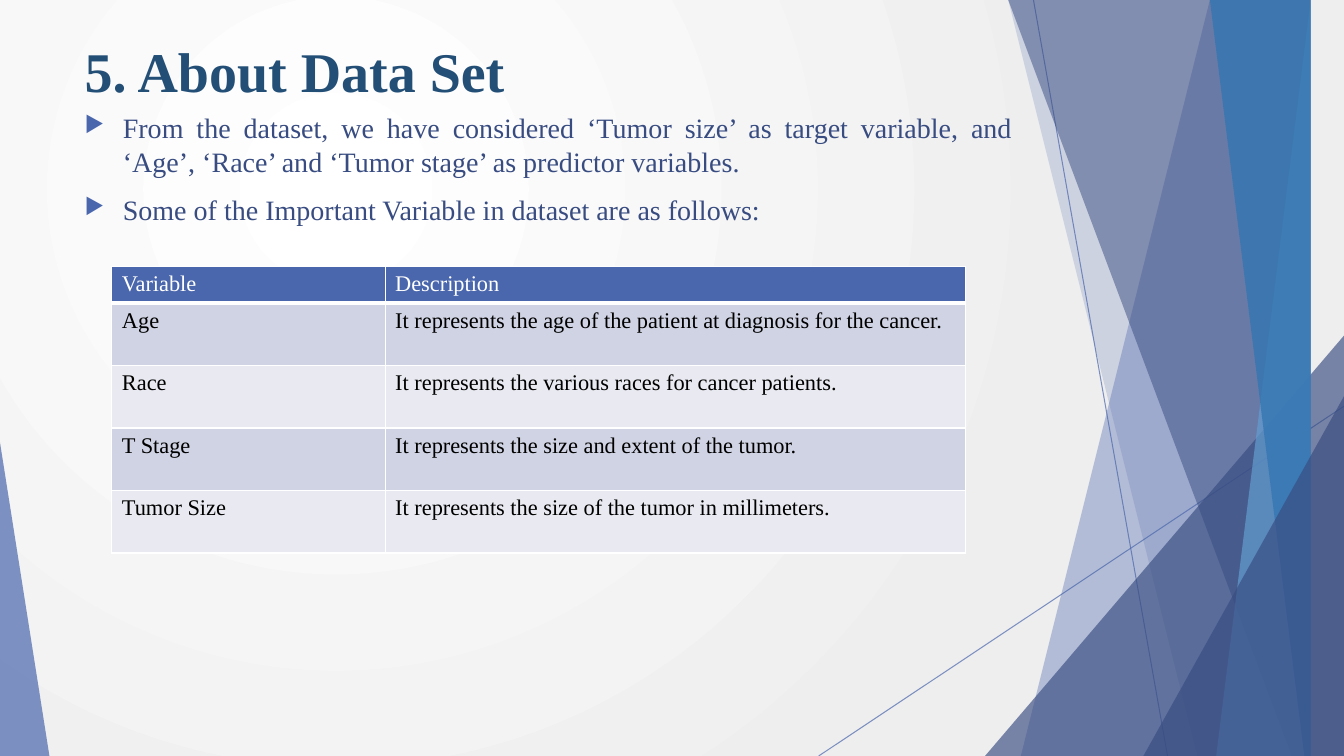
from lxml.etree import SubElement as add_xml
from pptx import Presentation
from pptx.dml.color import RGBColor
from pptx.enum.shapes import MSO_CONNECTOR, MSO_SHAPE
from pptx.enum.text import MSO_ANCHOR, PP_ALIGN
from pptx.oxml.ns import qn
from pptx.util import Inches, Pt

FONT = "Times New Roman"
WHITE = RGBColor(0xFF, 0xFF, 0xFF)
BLACK = RGBColor(0x00, 0x00, 0x00)
PALE_GREY = RGBColor(0xEE, 0xEE, 0xEE)
BLUE = RGBColor(0x4A, 0x66, 0xAC)
NAVY = RGBColor(0x38, 0x4C, 0x81)
SKY = RGBColor(0x62, 0x9D, 0xD1)
AZURE = RGBColor(0x34, 0x77, 0xB2)
TITLE_BLUE = RGBColor(0x23, 0x4F, 0x77)
BAND_DARK = RGBColor(0xD0, 0xD3, 0xE3)
BAND_LIGHT = RGBColor(0xE9, 0xEA, 0xF1)

WIDTH, HEIGHT = 13.33, 7.5
BLEED_TOP = -0.01

BULLETS = [
    "From the dataset, we have considered ‘Tumor size’ as target variable, "
    "and ‘Age’, ‘Race’ and ‘Tumor stage’ as predictor variables.",
    "Some of the Important Variable in dataset are as follows:",
]
VARIABLES = [
    ("Variable", "Description"),
    ("Age", "It represents the age of the patient at diagnosis for the cancer."),
    ("Race", "It represents the various races for cancer patients."),
    ("T Stage", "It represents the size and extent of the tumor."),
    ("Tumor Size", "It represents the size of the tumor in millimeters."),
]


def set_font(paragraph, size, color, bold=False):
    font = paragraph.font
    font.name, font.size, font.bold = FONT, Pt(size), bold
    font.color.rgb = color


def set_alpha(element, percent):
    color = element.find(".//" + qn("a:srgbClr"))
    add_xml(color, qn("a:alpha"), val=str(percent * 1000))


def set_background(page):
    fill = page.background.fill
    fill.gradient()
    for stop, color, position in zip(fill.gradient_stops, (WHITE, PALE_GREY), (0, 1)):
        stop.color.rgb, stop.position = color, position
    gradient = page.element.find(".//" + qn("a:gradFill"))
    gradient.remove(gradient.find(qn("a:lin")))
    circle = add_xml(gradient, qn("a:path"), path="circle")
    add_xml(circle, qn("a:fillToRect"), l="50000", t="50000", r="100000", b="100000")


def add_thin_line(page, x1, y1, x2, y2):
    line = page.shapes.add_connector(
        MSO_CONNECTOR.STRAIGHT, Inches(x1), Inches(y1), Inches(x2), Inches(y2))
    line.line.color.rgb, line.line.width = BLUE, Pt(0.75)
    properties = line.element.spPr
    set_alpha(properties, 70)
    add_xml(properties, qn("a:effectLst"))


def paint(shape, color, opacity):
    shape.shadow.inherit = False
    shape.fill.solid()
    shape.fill.fore_color.rgb = color
    set_alpha(shape.element.spPr, opacity)
    shape.line.fill.background()


def add_shard(page, top_x, bottom_x, color, opacity):
    """Slanted left edge, filled out to the right edge of the slide."""
    builder = page.shapes.build_freeform(top_x, BLEED_TOP, scale=Inches(1))
    builder.add_line_segments(
        [(WIDTH, BLEED_TOP), (WIDTH, HEIGHT), (bottom_x, HEIGHT)], close=True)
    paint(builder.convert_to_shape(), color, opacity)


def add_corner(page, left, top, width, apex, color, opacity):
    """Triangle standing on the bottom edge of the slide."""
    corner = page.shapes.add_shape(
        MSO_SHAPE.ISOSCELES_TRIANGLE, Inches(left), Inches(top),
        Inches(width), Inches(HEIGHT - top))
    corner.adjustments[0] = apex
    paint(corner, color, opacity)


def add_decoration(page):
    add_thin_line(page, 10.25, 0, 11.58, HEIGHT)
    add_thin_line(page, WIDTH, 4.03, 8.12, HEIGHT)
    add_shard(page, 12.28, 10.04, BLUE, 36)
    add_shard(page, 10.5, 11.83, BLUE, 20)
    add_corner(page, 9.77, 3.33, 3.56, 1, NAVY, 66)
    add_shard(page, 10.21, 12.91, NAVY, 50)
    add_shard(page, 13.03, 11.92, SKY, 70)
    add_shard(page, 11.96, 13.18, AZURE, 80)
    add_corner(page, 11.34, 3.93, 1.99, 1, NAVY, 66)
    add_corner(page, 0, 4.39, 0.49, 0, BLUE, 70)


def place_title(page, text):
    title = page.shapes.title
    title.left, title.top = Inches(0.74), Inches(0.23)
    title.width, title.height = Inches(9.4), Inches(0.94)
    frame = title.text_frame
    frame.text = text
    frame.vertical_anchor = MSO_ANCHOR.TOP
    frame.margin_top = Inches(0.13)
    paragraph = frame.paragraphs[0]
    paragraph.alignment = PP_ALIGN.LEFT
    set_font(paragraph, 40, TITLE_BLUE, bold=True)


def add_bullet(paragraph):
    properties = paragraph._p.get_or_add_pPr()
    properties.set("marL", str(Inches(0.38)))
    properties.set("indent", str(-Inches(0.38)))
    marks = [("buClr", {}), ("buSzPct", {"val": "80000"}), ("buChar", {"char": "▶"})]
    # Bullet settings come before the default run settings
    for index, (name, values) in enumerate(marks):
        mark = add_xml(properties, qn("a:" + name), values)
        if name == "buClr":
            add_xml(mark, qn("a:srgbClr"), val=str(BLUE))
        properties.insert(index + len(properties.findall(qn("a:spcBef"))), mark)


def add_bullets(page, texts):
    box = page.shapes.add_textbox(Inches(0.74), Inches(1.05), Inches(9.4), Inches(5.55))
    frame = box.text_frame
    frame.word_wrap = True
    for index, text in enumerate(texts):
        paragraph = frame.add_paragraph() if index else frame.paragraphs[0]
        paragraph.text = text
        paragraph.alignment = PP_ALIGN.JUSTIFY
        paragraph.space_before = Pt(10)
        set_font(paragraph, 20, NAVY)
        add_bullet(paragraph)


def set_borders(cell, bottom):
    properties = cell._tc.get_or_add_tcPr()
    for side, width in (("L", 1), ("R", 1), ("T", 1), ("B", bottom)):
        border = add_xml(properties, qn("a:ln" + side), w=str(Pt(width)))
        fill = add_xml(border, qn("a:solidFill"))
        add_xml(fill, qn("a:srgbClr"), val=str(WHITE))


def add_variable_table(page, rows):
    frame = page.shapes.add_table(
        len(rows), 2, Inches(1.11), Inches(2.64), Inches(8.47), Inches(2.84))
    table = frame.table
    for column, width in zip(table.columns, (2.71, 5.76)):
        column.width = Inches(width)
    for row_index, texts in enumerate(rows):
        header = row_index == 0
        band = BLUE if header else (BAND_LIGHT, BAND_DARK)[row_index % 2]
        table.rows[row_index].height = Inches(0.36 if header else 0.62)
        for column_index, text in enumerate(texts):
            cell = table.cell(row_index, column_index)
            cell.text = text
            set_font(cell.text_frame.paragraphs[0], 16, WHITE if header else BLACK)
            set_borders(cell, bottom=3 if header else 1)
            cell.fill.solid()
            cell.fill.fore_color.rgb = band


def main():
    deck = Presentation()
    deck.slide_width, deck.slide_height = Inches(WIDTH), Inches(HEIGHT)
    page = deck.slides.add_slide(deck.slide_layouts[5])
    # Backdrop
    set_background(page)
    add_decoration(page)
    # Content
    place_title(page, "5. About Data Set")
    add_bullets(page, BULLETS)
    add_variable_table(page, VARIABLES)
    deck.save("out.pptx")


main()
